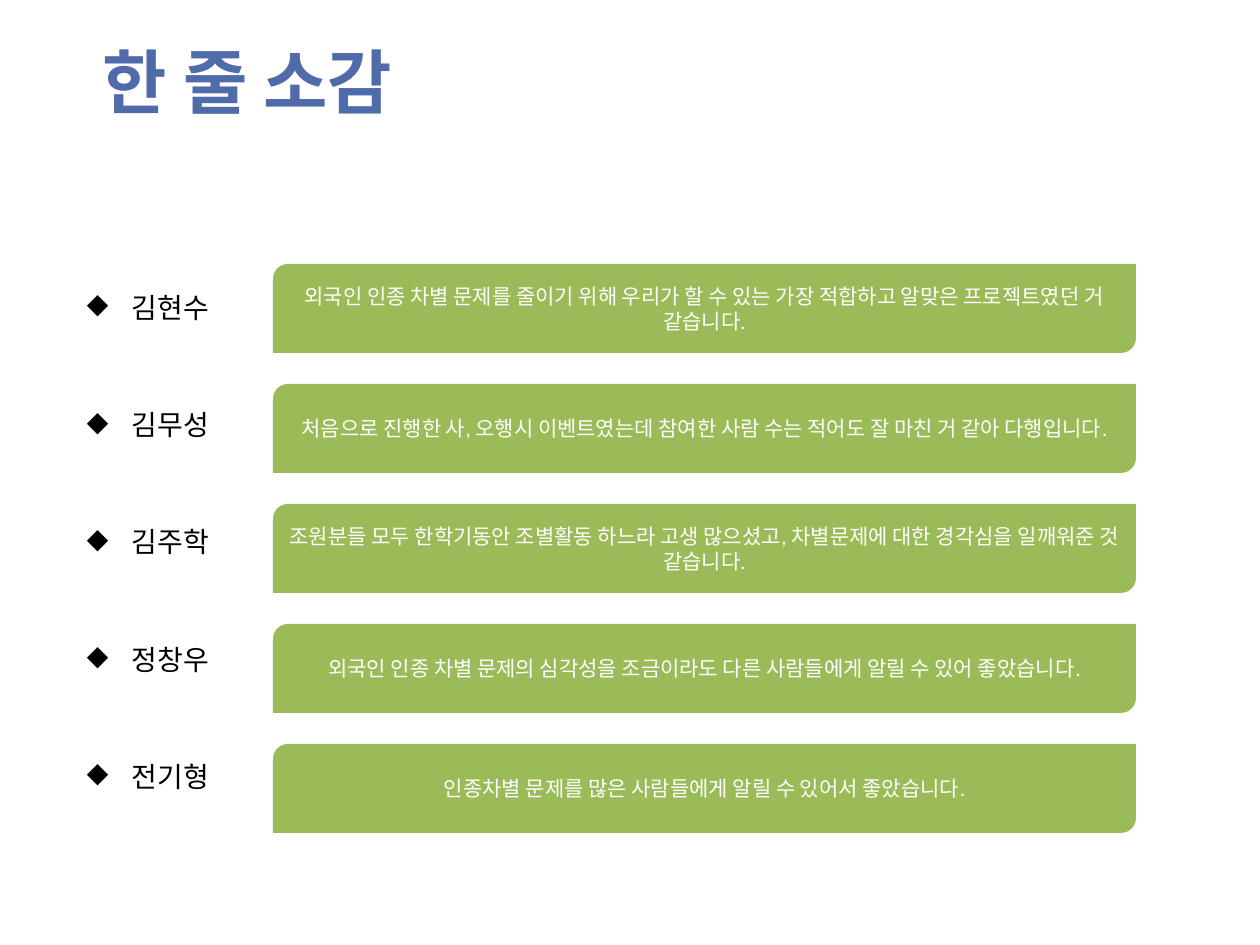
from lxml import etree
from pptx import Presentation, util as u
from pptx.dml.color import RGBColor
from pptx.enum import shapes, text
from pptx.oxml.ns import qn

TITLE = "한 줄 소감"
COMMENTS = [
    ("김현수", "외국인 인종 차별 문제를 줄이기 위해 우리가 할 수 있는 가장 적합하고 알맞은 프로젝트였던 거 같습니다."),
    ("김무성", "처음으로 진행한 사, 오행시 이벤트였는데 참여한 사람 수는 적어도 잘 마친 거 같아 다행입니다."),
    ("김주학", "조원분들 모두 한학기동안 조별활동 하느라 고생 많으셨고, 차별문제에 대한 경각심을 일깨워준 것 같습니다."),
    ("정창우", "외국인 인종 차별 문제의 심각성을 조금이라도 다른 사람들에게 알릴 수 있어 좋았습니다."),
    ("전기형", "인종차별 문제를 많은 사람들에게 알릴 수 있어서 좋았습니다."),
]
COLORS = {"title": "4F6BAA", "name": "000000", "bar": "9BBB59", "comment": "FFFFFF"}
FONT = "Calibri"
PX = 914400 // 126
BAR_LEFT, BAR_TOP, BAR_W, BAR_H, BAR_PITCH = 273, 264, 863, 89, 120
NAME_LINE, NAME_GAP, NAME_INDENT = 24, 43, 45


def px(*values):
    return [u.Emu(v * PX) for v in values]


def color(key):
    return RGBColor.from_string(COLORS[key])


def prepare(sp, margin):
    tf = sp.text_frame
    tf.word_wrap = True
    tf.margin_left = tf.margin_right = u.Emu(margin * PX)
    tf.margin_top = tf.margin_bottom = 0
    return tf


def add_run(p, words, size, key, bold=False):
    r = p.add_run()
    r.text = words
    r.font.name, r.font.size, r.font.bold = FONT, u.Pt(size), bold
    r.font.color.rgb = color(key)


def add_bullet(p):
    pPr = p._p.get_or_add_pPr()
    pPr.set("marL", str(NAME_INDENT * PX))
    pPr.set("indent", str(-NAME_INDENT * PX))
    etree.SubElement(pPr, qn("a:buChar")).set("char", "◆")


prs = Presentation()
prs.slide_width, prs.slide_height = px(1260, 945)
s = prs.slides.add_slide(prs.slide_layouts[6])

tf = prepare(s.shapes.add_textbox(*px(90, 26, 1040, 110)), 13)
tf.vertical_anchor = text.MSO_ANCHOR.MIDDLE
add_run(tf.paragraphs[0], TITLE, 40, "title", True)

tf = prepare(s.shapes.add_textbox(*px(74, 282, 190, 512)), 13)
for i, (name, comment) in enumerate(COMMENTS):
    p = tf.add_paragraph() if i else tf.paragraphs[0]
    add_bullet(p)
    p.line_spacing = u.Pt(NAME_LINE)
    p.space_before = u.Pt(NAME_GAP if i else 0)
    add_run(p, name, 16, "name")

    sp = s.shapes.add_shape(
        shapes.MSO_SHAPE.ROUND_2_DIAG_RECTANGLE,
        *px(BAR_LEFT, BAR_TOP + i * BAR_PITCH, BAR_W, BAR_H))
    sp.shadow.inherit = False
    sp.fill.solid()
    sp.fill.fore_color.rgb = color("bar")
    sp.line.fill.background()
    bar_tf = prepare(sp, 10)
    bar_tf.vertical_anchor = text.MSO_ANCHOR.MIDDLE
    bar_tf.paragraphs[0].alignment = text.PP_ALIGN.CENTER
    add_run(bar_tf.paragraphs[0], comment, 12, "comment")

prs.save("out.pptx")
